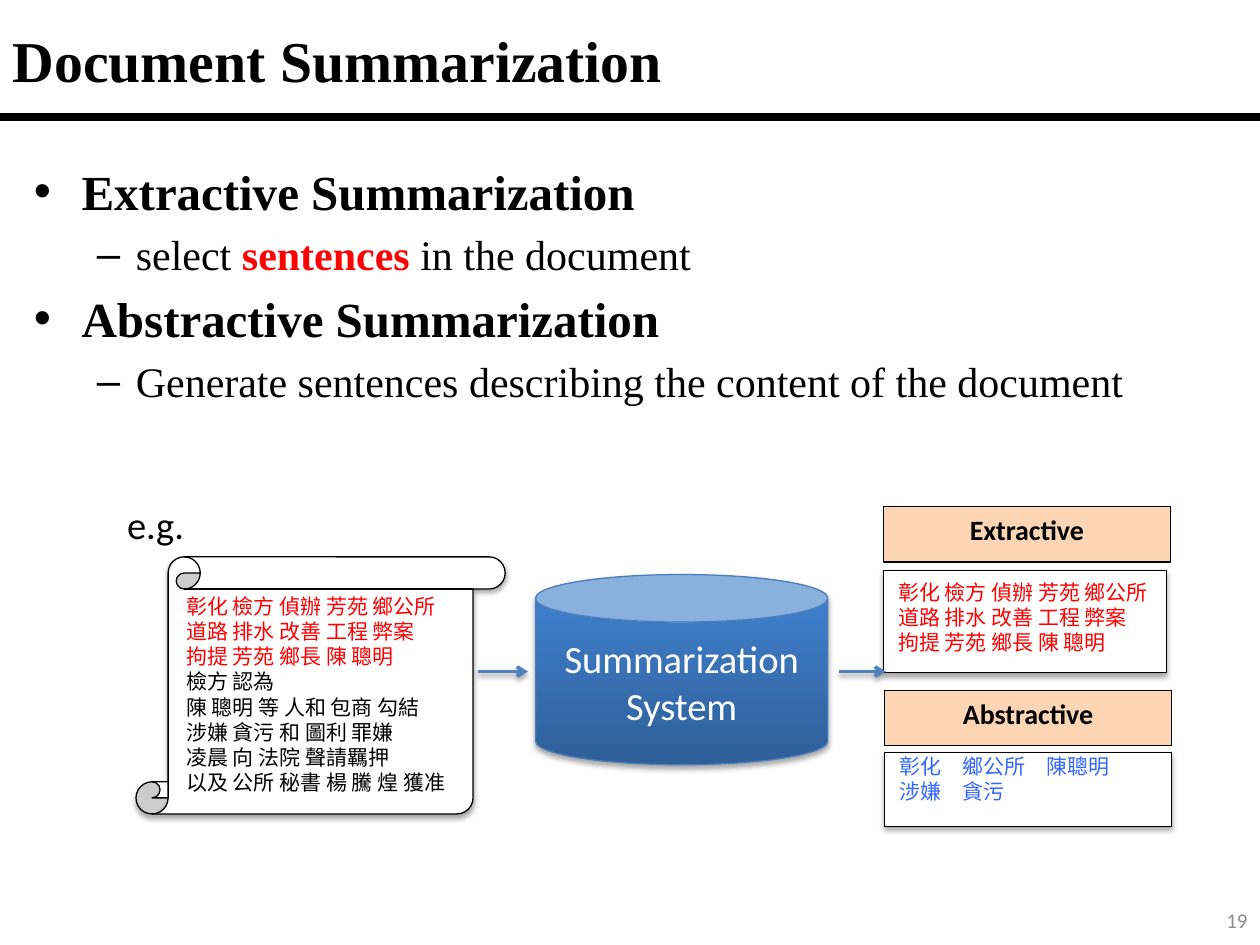
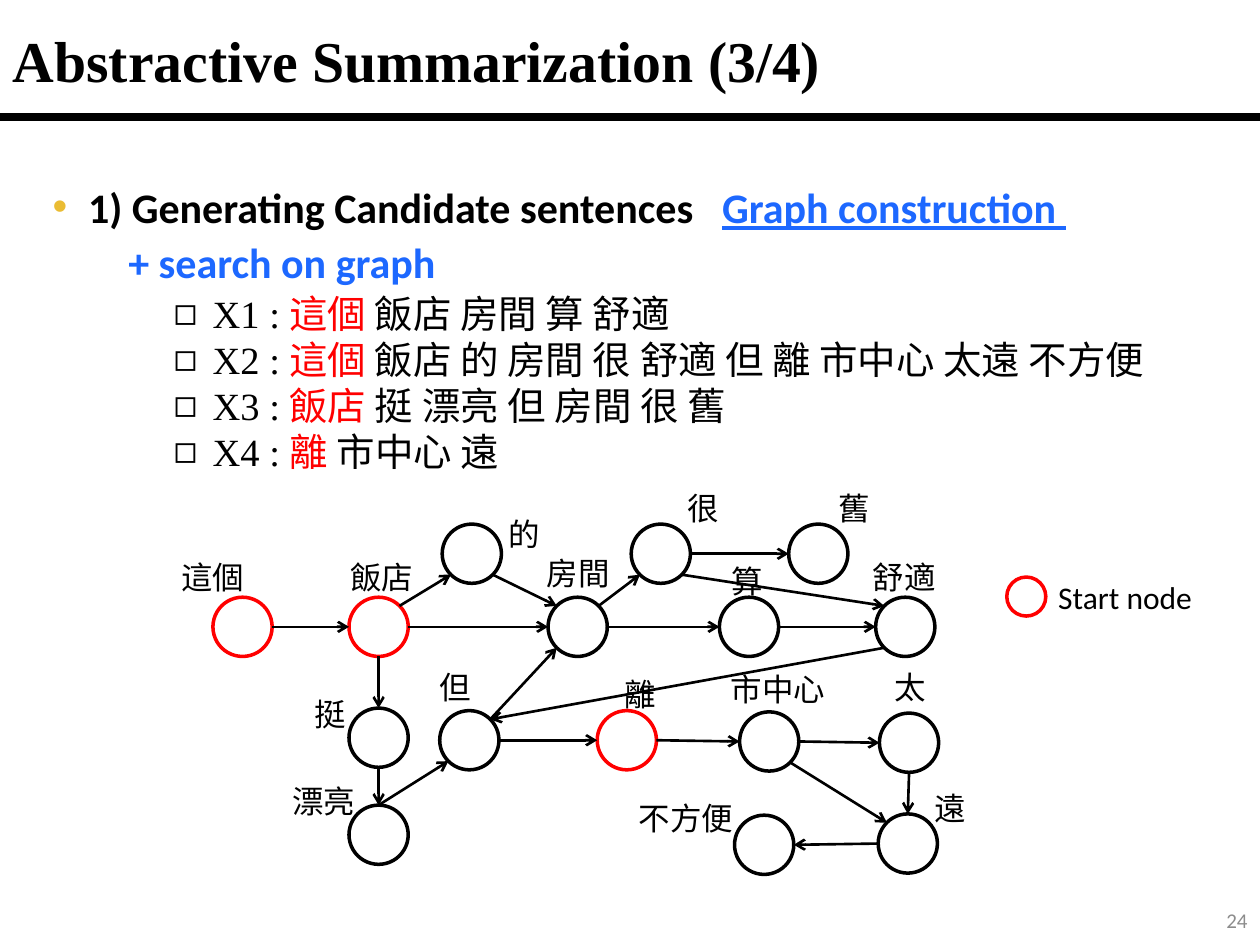
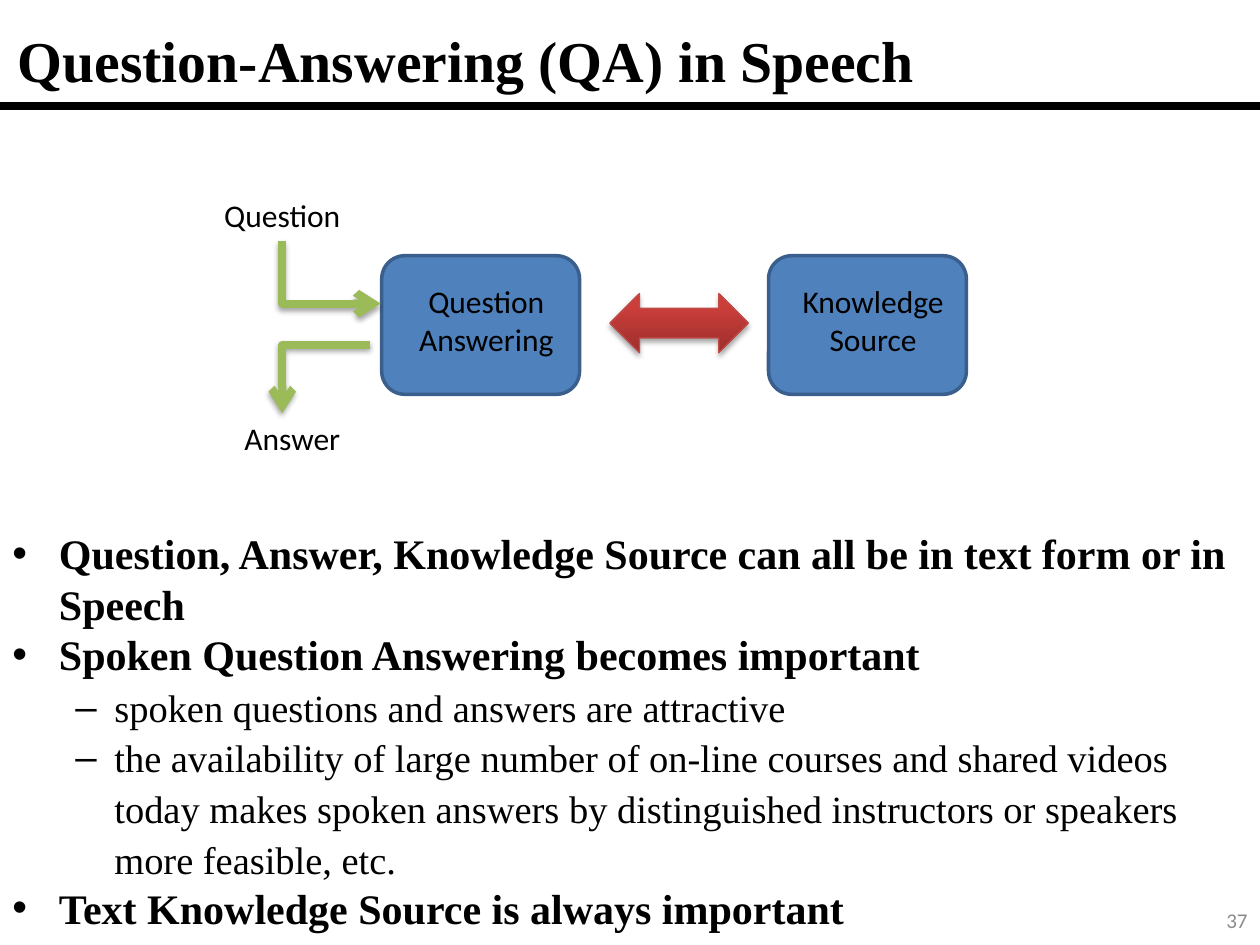
from math import atan2, cos, sin
from lxml import etree
from pptx import Presentation
from pptx import util as u
from pptx.dml.color import RGBColor
from pptx.enum import shapes, text
from pptx.oxml.ns import qn

CELL = u.Inches(0.1)
BLACK, WHITE, RED, BLUE = "000000", "FFFFFF", "FF0000", "4F81BD"
SERIF, SANS = "Times New Roman", "Calibri"
KIND = shapes.MSO_SHAPE
SIDES = {"l": text.PP_ALIGN.LEFT, "c": text.PP_ALIGN.CENTER, "r": text.PP_ALIGN.RIGHT}
NODE = 4.7
COMPASS = {"E": (1, 0), "SE": (1, 1), "S": (0, 1), "SW": (-1, 1),
           "W": (-1, 0), "NW": (-1, -1), "N": (0, -1), "NE": (1, -1)}


def grid(*cells):
    """Turn grid cells, 100 across and 75 down, into slide lengths."""
    return [int(cell * CELL) for cell in cells]


def tint(hue):
    """Return the colour for a hex string."""
    return RGBColor.from_string(hue)


def child(node, tag, **attrs):
    """Append a drawing element with the given attributes."""
    return etree.SubElement(node, qn("a:" + tag), {k: str(v) for k, v in attrs.items()})


def say(par, line, size, face=SANS, hue=BLACK, bold=False, side="l", mark=None, gap=0):
    """Write one paragraph; odd parts between asterisks are marked, lone spaces widened."""
    par.alignment = SIDES[side]
    for turn, part in enumerate(line.split("*")):
        if not part:
            continue
        look = {"hue": hue, "bold": bold, "under": None}
        look.update((mark or {}) if turn % 2 else {})
        run = par.add_run()
        run.text = part
        font = run.font
        font.name, font.size = face, u.Pt(size)
        font.bold, font.underline = look["bold"], look["under"]
        font.color.rgb = tint(look["hue"])
        if gap and part == " ":
            run._r.get_or_add_rPr().set("spc", str(gap * 100))


def write(frame, lines, size, mid=False, **look):
    """Fill a text frame with equally styled paragraphs."""
    frame.word_wrap = True
    frame.vertical_anchor = text.MSO_ANCHOR.MIDDLE if mid else text.MSO_ANCHOR.TOP
    for turn, line in enumerate(lines):
        par = frame.add_paragraph() if turn else frame.paragraphs[0]
        say(par, line, size, **look)


def label(page, box, lines, size, **look):
    """Add a text box."""
    write(page.shapes.add_textbox(*grid(*box)).text_frame, lines, size, **look)


def indent(par, left, hang=0, sign=None, hue=None):
    """Set a paragraph's indent, in grid cells, and its bullet."""
    props = par._p.get_or_add_pPr()
    props.set("marL", str(grid(left)[0]))
    props.set("indent", str(-grid(hang)[0]))
    if hue:
        child(child(props, "buClr"), "srgbClr", val=hue)
    if sign:
        child(props, "buFont", typeface="Arial")
        child(props, "buChar", char=sign)
    else:
        child(props, "buNone")


def outline(page, box, items, looks):
    """Add a bulleted list whose items name their look."""
    frame = page.shapes.add_textbox(*grid(*box)).text_frame
    frame.word_wrap = True
    for turn, (name, line) in enumerate(items):
        look = dict(looks[name])
        par = frame.add_paragraph() if turn else frame.paragraphs[0]
        par.space_before = u.Pt(look.pop("before", 0))
        par.line_spacing = look.pop("pitch", 1.0)
        indent(par, *look.pop("tab"))
        say(par, line, **look)


def shade(item):
    """Give a shape or connector a soft shadow below it."""
    glow = item._element.spPr.find(qn("a:effectLst"))
    drop = child(glow, "outerShdw", blurRad=40000, dist=23000, dir=5400000, rotWithShape=0)
    child(child(drop, "srgbClr", val=BLACK), "alpha", val=35000)


def blend(item, stops):
    """Fill a shape with colours that run from its foot to its top."""
    item.fill.gradient()
    fill = item._element.spPr.find(qn("a:gradFill"))
    bag = fill.find(qn("a:gsLst"))
    for old in list(bag):
        bag.remove(old)
    for place, hue in stops:
        child(child(bag, "gs", pos=place * 1000), "srgbClr", val=hue)
    fill.find(qn("a:lin")).set("ang", str(270 * 60000))


def block(page, kind, box, fill=WHITE, line=BLACK, width=0.75, soft=False):
    """Add a preset shape with a plain or blended fill."""
    item = page.shapes.add_shape(kind, *grid(*box))
    item.shadow.inherit = False
    if isinstance(fill, str):
        item.fill.solid()
        item.fill.fore_color.rgb = tint(fill)
    else:
        blend(item, fill)
    item.line.color.rgb, item.line.width = tint(line), u.Pt(width)
    if soft:
        shade(item)
    return item


def link(page, ends, hue=BLACK, width=1.5, head=True, soft=False, turn=None):
    """Add a straight line, or one with a single corner turned by degrees."""
    kinds = shapes.MSO_CONNECTOR
    kind = kinds.STRAIGHT if turn is None else kinds.ELBOW
    item = page.shapes.add_connector(kind, *grid(*ends))
    item.line.color.rgb, item.line.width = tint(hue), u.Pt(width)
    props = item._element.spPr
    if head:
        child(props.find(qn("a:ln")), "tailEnd", type="arrow")
    if turn is not None:
        props.find(qn("a:prstGeom")).set("prst", "bentConnector2")
        props.find(qn("a:xfrm")).set("rot", str(turn * 60000))
    child(props, "effectLst")
    if soft:
        shade(item)


def start(deck, name, number, box=(0, 0.8, 99.9, 7.9), rule=9.3):
    """Add a slide with its title, rule and page number."""
    page = deck.slides.add_slide(deck.slide_layouts[5])
    title = page.shapes.title
    title.left, title.top, title.width, title.height = grid(*box)
    write(title.text_frame, [name], 33, mid=True, face=SERIF, bold=True)
    title.text_frame.auto_size = text.MSO_AUTO_SIZE.NONE
    link(page, (0, rule, 100, rule), width=4.5, head=False)
    label(page, (77.5, 71, 22.5, 4), [str(number)], 12, mid=True, hue="8C8C8C", side="r")
    return page


def summary(deck):
    """Build the slide on the two kinds of summary."""
    page = start(deck, "Document Summarization", 19)
    looks = {
        "main": dict(size=28, face=SERIF, bold=True, before=5.6, tab=(3.8, 3.8, "•")),
        "sub": dict(size=24, face=SERIF, before=4.8, tab=(8.1, 3.1, "–"),
                    mark={"hue": RED, "bold": True}),
    }
    outline(page, (1.7, 12.3, 95.6, 21.1), [
        ("main", "Extractive Summarization"),
        ("sub", "select *sentences* in the document"),
        ("main", "Abstractive Summarization"),
        ("sub", "Generate sentences describing the content of the document"),
    ], looks)
    label(page, (9.1, 39.3, 9.5, 4.8), ["e.g."], 22)

    picks = ["彰化 檢方 偵辦 芳苑 鄉公所", "道路 排水 改善 工程 弊案", "拘提 芳苑 鄉長 陳 聰明"]
    rest = ["檢方 認為", "陳 聰明 等 人和 包商 勾結", "涉嫌 貪污 和 圖利 罪嫌",
            "凌晨 向 法院 聲請羈押", "以及 公所 秘書 楊 騰 煌 獲准"]
    block(page, KIND.VERTICAL_SCROLL, (10.8, 44.2, 29.3, 20.4), soft=True)
    label(page, (13.8, 46.6, 23.7, 17.4), [f"*{line}*" for line in picks] + rest, 12,
          mark={"hue": RED})

    can = block(page, KIND.CAN, (42.5, 45.6, 23.2, 15.1),
                [(0, "2F5F99"), (80, "3D7CC7"), (100, "3A7CCB")], "4B7EBC", soft=True)
    write(can.text_frame, ["Summarization", "System"], 22, mid=True, hue=WHITE, side="c")

    results = [
        ("Extractive", 70.1, 40.2, (45.3, 22.5, 8.1), 45.5, picks, RED),
        ("Abstractive", 70.2, 54.8, (59.7, 22.8, 5.9), 59.3,
         ["彰化　鄉公所　陳聰明", "涉嫌　貪污"], "3366FF"),
    ]
    for name, left, top, (down, wide, high), first, lines, hue in results:
        block(page, KIND.FLOWCHART_PROCESS, (left, down, wide, high), soft=True)
        label(page, (left + 0.2, first, 22.8, 7.3), lines, 12, hue=hue)
        head = block(page, KIND.RECTANGLE, (left, top, 22.8, 4.4), "FCD5B5")
        write(head.text_frame, [name], 16, bold=True, side="c")
    for left, right in ((37.9, 41.9), (66.6, 70.3)):
        link(page, (left, 53.3, right, 53.3), BLUE, 2, soft=True)


def port(spot, way):
    """Return the point where a compass direction leaves a node."""
    across, down = COMPASS[way]
    angle = atan2(down, across)
    return [spot[0] + NODE / 2 * (1 + cos(angle)), spot[1] + NODE / 2 * (1 + sin(angle))]


def graph(deck):
    """Build the slide on the word graph."""
    page = start(deck, "Abstractive Summarization (3/4)", 24)
    blue = "1D68FF"
    looks = {
        "main": dict(size=24, bold=True, before=3, tab=(4, 2.8, "•", "EABC33"), gap=11,
                     mark={"hue": blue, "under": True}),
        "more": dict(size=24, bold=True, before=3, tab=(7.2,), hue=blue),
        "case": dict(size=22, face=SERIF, tab=(3.1, 3.1, "◻"), mark={"hue": RED}),
    }
    outline(page, (2, 13.9, 94.9, 9), [
        ("main", "1) Generating Candidate sentences** *Graph construction *"),
        ("more", "+ search on graph"),
    ], looks)
    outline(page, (12.8, 22.5, 82.9, 15.8), [
        ("case", "X1 : *這個* 飯店 房間 算 舒適"),
        ("case", "X2 : *這個* 飯店 的 房間 很 舒適 但 離 市中心 太遠 不方便"),
        ("case", "X3 : *飯店* 挺 漂亮 但 房間 很 舊"),
        ("case", "X4 : *離* 市中心 遠"),
    ], looks)

    nodes = {
        "的": ((35.1, 41.6), (39.4, 40.4, 4.9)),
        "很": ((50.1, 41.6), (53.6, 38.3, 6)),
        "舊": ((62.6, 41.6), (65.6, 38.3, 3.9)),
        "這個": ((16.9, 47.4), (13.4, 43.8, 8.3)),
        "飯店": ((27.7, 47.4), (26.8, 43.8, 7.4)),
        "房間": ((43.5, 47.4), (42.4, 43.5, 7.7)),
        "算": ((57.1, 47.4), (57.1, 44.1, 5.3)),
        "舒適": ((69.5, 47.4), (68.3, 43.8, 9.3)),
        "挺": ((27.7, 56.2), (24, 54.7, 6.1)),
        "但": ((34.9, 56.4), (33.9, 52.5, 4.7)),
        "離": ((47.4, 56.4), (48.6, 53.1, 5.6)),
        "市中心": ((58.7, 56.5), (57, 52.7, 9.8)),
        "太": ((69.8, 56.6), (70, 52.5, 5.3)),
        "漂亮": ((27.7, 63.9), (22.2, 61.6, 7.3)),
        "不方便": ((58.3, 64.7), (49.7, 62.9, 10.7)),
        "遠": ((69.7, 64.6), (73.2, 62.1, 5.4)),
    }
    edges = """這個 E 飯店 W, 飯店 E 房間 W, 房間 E 算 W, 算 E 舒適 W, 很 E 舊 W,
        飯店 NE 的 SW, 的 SE 房間 NW, 房間 NE 很 SW, 很 SE 舒適 NW, 舒適 SW 但 NE,
        飯店 S 挺 N, 挺 S 漂亮 N, 漂亮 N 但 SW, 但 NE 房間 SW, 但 E 離 W,
        離 E 市中心 W, 市中心 E 太 W, 市中心 SE 遠 NW, 太 S 遠 N, 遠 W 不方便 E"""
    for word, (spot, _) in nodes.items():
        hue = RED if word in ("這個", "飯店", "離") else BLACK
        block(page, KIND.OVAL, (*spot, NODE, NODE), line=hue, width=2)
    for edge in edges.split(","):
        tail, out, tip, into = edge.split()
        link(page, port(nodes[tail][0], out) + port(nodes[tip][0], into))
    for word, (_, (left, top, wide)) in nodes.items():
        label(page, (left, top, wide, 4), [word], 18, face="Arial")
    block(page, KIND.OVAL, (79.9, 45.8, 3.1, 3.1), line=RED, width=2)
    label(page, (83, 45.4, 13.9, 4), ["Start node"], 18)


def speech(deck):
    """Build the slide on spoken question answering."""
    page = start(deck, "Question-Answering (QA) in Speech", 37, (0.4, 1.3, 99.6, 6.9), 8.4)
    for left, lines in ((30.3, ["Question", "Answering"]), (61, ["Knowledge", "Source"])):
        block(page, KIND.ROUNDED_RECTANGLE, (left, 20.3, 15.7, 11), BLUE, "3A5F8C", 2)
        label(page, (left + 0.8, 21.9, 15, 7.1), lines, 18, side="c")
    block(page, KIND.LEFT_RIGHT_ARROW, (48.4, 23.3, 11, 4.7),
          [(0, "9C2F2D"), (80, "CB3E3A"), (100, "CE3B37")], "BF4C48", soft=True)
    for word, left, top in (("Question", 15.4, 15.1), ("Answer", 16.2, 32.8)):
        label(page, (left, top, 14, 4), [word], 18, side="c")
    for ends, turn in (((28.8, 17.7, 23.8, 25.5), 270), ((22.4, 32.8, 29.4, 27.4), 180)):
        link(page, ends, "9BBB59", 4.5, soft=True, turn=turn)
    looks = {
        "main": dict(size=24, face=SERIF, bold=True, tab=(3.7, 3.7, "•")),
        "sub": dict(size=22, face=SERIF, pitch=1.1, tab=(8.1, 3.1, "–")),
    }
    outline(page, (0, 41.4, 100, 33.5), [
        ("main", "Question, Answer, Knowledge Source can all be in text form or in Speech"),
        ("main", "Spoken Question Answering becomes important"),
        ("sub", "spoken questions and answers are attractive"),
        ("sub", "the availability of large number of on-line courses and shared videos today "
                "makes spoken answers by distinguished instructors or speakers more feasible, etc."),
        ("main", "Text Knowledge Source is always important"),
    ], looks)


def main():
    """Build and save the deck."""
    deck = Presentation()
    deck.slide_width, deck.slide_height = grid(100, 75)
    for build in (summary, graph, speech):
        build(deck)
    deck.save("out.pptx")


if __name__ == "__main__":
    main()
